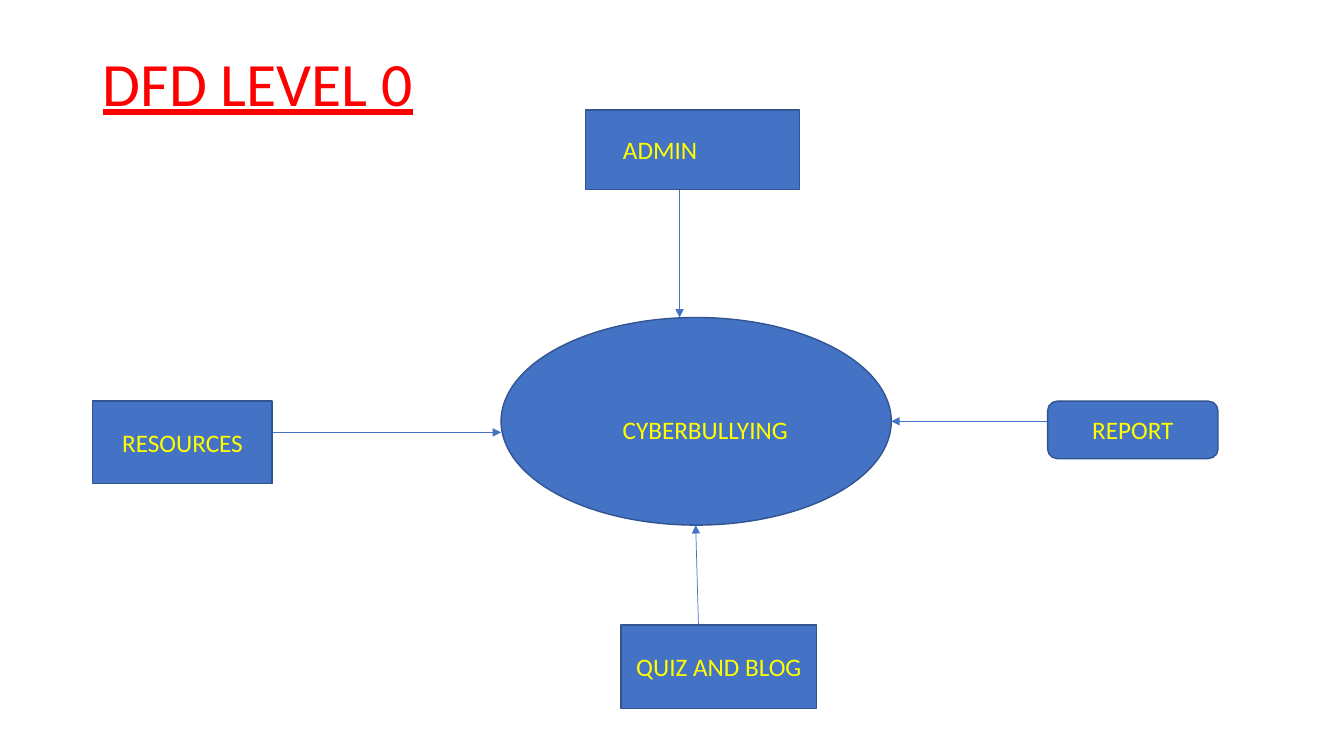
from typing import NamedTuple

from lxml.etree import SubElement
from pptx import Presentation
from pptx.dml.color import RGBColor
from pptx.enum.shapes import MSO_CONNECTOR as Link, MSO_SHAPE as Kind
from pptx.enum.text import MSO_ANCHOR as Anchor, MSO_AUTO_SIZE as Fit, PP_ALIGN as Align
from pptx.oxml.ns import qn
from pptx.util import Pt

PX = 9144  # EMU per px, 100 px to the inch
FONT = "Calibri"
COLORS = {"title": "FF0000", "text": "FFFF00", "fill": "4472C4", "edge": "325491"}


class Area(NamedTuple):
    left: int
    top: int
    width: int
    height: int


class Node(NamedTuple):
    kind: Kind
    area: Area
    text: str = ""


class Label(NamedTuple):
    area: Area
    text: str
    align: Align


class Flow(NamedTuple):
    x1: int
    y1: int
    x2: int
    y2: int


TITLE = Area(92, 40, 1150, 91)
HUB = Node(Kind.OVAL, Area(497, 315, 387, 206))
HUB_LABEL = Label(Area(559, 406, 281, 40), "CYBERBULLYING", Align.CENTER)
FLOWS = [
    Flow(674, 188, 674, 315),
    Flow(1039, 418, 884, 418),
    Flow(269, 429, 497, 429),
    Flow(693, 629, 690, 521),
]
NODES = [
    Node(Kind.RECTANGLE, Area(581, 109, 212, 79)),
    Node(Kind.ROUNDED_RECTANGLE, Area(1039, 398, 169, 57), "REPORT"),
    Node(Kind.RECTANGLE, Area(616, 620, 194, 83), "QUIZ AND BLOG"),
    Node(Kind.RECTANGLE, Area(92, 398, 178, 82), "RESOURCES"),
]
ADMIN_LABEL = Label(Area(608, 128, 169, 40), "ADMIN", Align.LEFT)


def scale(lengths: tuple) -> list:
    """Turn px into EMU."""
    return [n * PX for n in lengths]


def color(name: str) -> RGBColor:
    return RGBColor.from_string(COLORS[name])


def write(frame, text: str, align: Align, size: int = 18, tint: str = "text"):
    """Fill a text frame with one styled line and return its paragraph."""
    frame.text = text
    para = frame.paragraphs[0]
    para.alignment = align
    font = para.runs[0].font
    font.name, font.size = FONT, Pt(size)
    font.color.rgb = color(tint)
    return para


def add_title(slide, text: str) -> None:
    title = slide.shapes.title
    title.left, title.top, title.width, title.height = scale(TITLE)
    frame = title.text_frame
    frame.auto_size = Fit.NONE
    frame.vertical_anchor = Anchor.MIDDLE
    para = write(frame, text, Align.LEFT, 44, "title")
    para.line_spacing = 0.9
    para.runs[0].font.underline = True


def add_node(slide, node: Node) -> None:
    shape = slide.shapes.add_shape(node.kind, *scale(node.area))
    shape.shadow.inherit = False
    shape.fill.solid()
    shape.fill.fore_color.rgb = color("fill")
    shape.line.color.rgb = color("edge")
    shape.line.width = Pt(1)
    if node.text:
        shape.text_frame.vertical_anchor = Anchor.MIDDLE
        write(shape.text_frame, node.text, Align.CENTER)


def add_label(slide, label: Label) -> None:
    frame = slide.shapes.add_textbox(*scale(label.area)).text_frame
    frame.word_wrap = True
    frame.auto_size = Fit.SHAPE_TO_FIT_TEXT
    write(frame, label.text, label.align)


def add_flow(slide, flow: Flow) -> None:
    arrow = slide.shapes.add_connector(Link.STRAIGHT, *scale(flow))
    arrow.line.color.rgb = color("fill")
    arrow.line.width = Pt(0.5)
    SubElement(arrow.line._get_or_add_ln(), qn("a:tailEnd"), type="triangle")
    SubElement(arrow._element.spPr, qn("a:effectLst"))


def main() -> None:
    deck = Presentation()
    deck.slide_width, deck.slide_height = scale((1333, 750))
    slide = deck.slides.add_slide(deck.slide_layouts[5])
    add_title(slide, "DFD LEVEL 0")
    add_node(slide, HUB)
    add_label(slide, HUB_LABEL)
    for flow in FLOWS:
        add_flow(slide, flow)
    for node in NODES:
        add_node(slide, node)
    add_label(slide, ADMIN_LABEL)
    deck.save("out.pptx")


if __name__ == "__main__":
    main()
